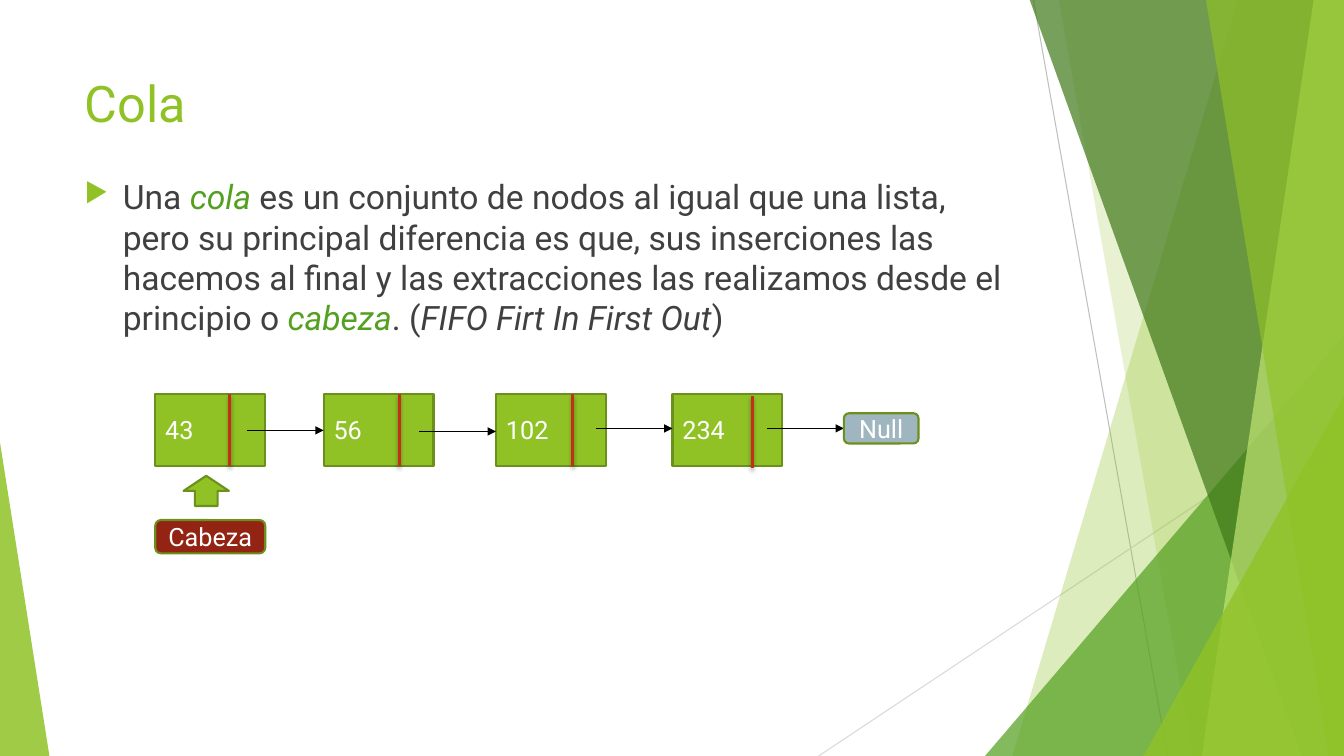
from lxml import etree
from pptx import Presentation
from pptx.dml.color import RGBColor
from pptx.enum.shapes import MSO_CONNECTOR, MSO_SHAPE
from pptx.enum.text import MSO_ANCHOR, PP_ALIGN
from pptx.oxml import parse_xml
from pptx.oxml.ns import qn
from pptx.util import Inches, Pt

COLORS = {
    "lime": "90C226", "green": "54A021", "forest": "3F7819", "pale": "C0E474",
    "outline": "6B901C", "red": "C42F1A", "maroon": "932313", "blue_gray": "9FB6C0",
    "text": "404040", "white": "FFFFFF", "black": "000000",
    "gray": "BFBFBF", "light_gray": "D9D9D9",
}
RGB = {name: RGBColor.from_string(value) for name, value in COLORS.items()}
FONT = "Roboto"
DRAWING_NS = "http://schemas.openxmlformats.org/drawingml/2006/main"
SHADOW = (
    f'<a:outerShdw xmlns:a="{DRAWING_NS}" blurRad="38100" dist="25400" dir="5400000" '
    'rotWithShape="0"><a:srgbClr val="000000"><a:alpha val="35000"/></a:srgbClr></a:outerShdw>'
)

presentation = Presentation()
presentation.slide_width, presentation.slide_height = Inches(13.33), Inches(7.5)
slide = presentation.slides.add_slide(presentation.slide_layouts[6])
shapes = slide.shapes


def add_line(x1, y1, x2, y2, color, width, arrow=False, shadow=False):
    line = shapes.add_connector(
        MSO_CONNECTOR.STRAIGHT, Inches(x1), Inches(y1), Inches(x2), Inches(y2))
    line.line.color.rgb = RGB[color]
    line.line.width = Pt(width)
    properties = line._element.spPr
    if arrow:
        etree.SubElement(properties.find(qn("a:ln")), qn("a:tailEnd"), type="triangle")
    effects = etree.SubElement(properties, qn("a:effectLst"))
    if shadow:
        effects.append(parse_xml(SHADOW))


def style_shape(shape, color, opacity=None, text="", align=PP_ALIGN.CENTER):
    """Give a translucent background facet or an outlined diagram part its look."""
    shape.shadow.inherit = False
    shape.fill.solid()
    shape.fill.fore_color.rgb = RGB[color]
    if opacity:
        fill_color = shape._element.spPr.find(qn("a:solidFill"))[0]
        etree.SubElement(fill_color, qn("a:alpha"), val=str(opacity * 1000))
        shape.line.fill.background()
    else:
        shape.line.color.rgb = RGB["outline"]
        shape.line.width = Pt(1.5)
    if text:
        frame = shape.text_frame
        frame.vertical_anchor = MSO_ANCHOR.MIDDLE
        paragraph = frame.paragraphs[0]
        paragraph.text = text
        paragraph.alignment = align
        paragraph.font.name, paragraph.font.size = FONT, Pt(18)
        paragraph.font.color.rgb = RGB["white"]


# Background lines and facets, back to front
add_line(10.25, 0, 11.58, 7.5, "gray", 0.75)
add_line(13.33, 4.03, 8.12, 7.5, "light_gray", 0.75)

# Bands: top left x, bottom left x; triangles: left, top, width, height, apex
facets = [
    ("band", (12.28, 10.04), "lime", 30),
    ("band", (10.5, 11.83), "lime", 20),
    ("triangle", (9.77, 3.33, 3.56, 4.17, 1), "green", 72),
    ("band", (10.21, 12.91), "forest", 70),
    ("band", (13.03, 11.92), "pale", 70),
    ("band", (11.96, 13.18), "lime", 65),
    ("triangle", (11.34, 3.93, 1.99, 3.57, 1), "lime", 80),
    ("triangle", (0, 4.39, 0.49, 3.11, 0), "lime", 85),
]
for kind, geometry, color, opacity in facets:
    if kind == "band":
        top_x, bottom_x = geometry
        corners = [(top_x, -0.01), (13.33, -0.01), (13.33, 7.5), (bottom_x, 7.5)]
        points = [(Inches(x), Inches(y)) for x, y in corners]
        builder = shapes.build_freeform(*points[0])
        builder.add_line_segments(points[1:], close=True)
        facet = builder.convert_to_shape()
    else:
        *box, apex = geometry
        facet = shapes.add_shape(MSO_SHAPE.ISOSCELES_TRIANGLE, *map(Inches, box))
        facet.adjustments[0] = apex
    style_shape(facet, color, opacity)

# Title
title = shapes.add_textbox(Inches(0.74), Inches(0.67), Inches(9.4), Inches(1.44))
title.text_frame.word_wrap = True
paragraph = title.text_frame.paragraphs[0]
paragraph.text = "Cola"
paragraph.font.name, paragraph.font.size = FONT, Pt(36)
paragraph.font.color.rgb = RGB["lime"]

# Definition with a triangular bullet
body = shapes.add_textbox(Inches(0.74), Inches(1.7), Inches(9.4), Inches(4.91))
body.text_frame.word_wrap = True
paragraph = body.text_frame.paragraphs[0]
paragraph.space_before = Pt(10)
paragraph.font.name, paragraph.font.size = FONT, Pt(24)
properties = paragraph._p.get_or_add_pPr()
properties.set("marL", str(Inches(0.38)))
properties.set("indent", str(Inches(-0.38)))
bullet = [
    f'<a:buClr xmlns:a="{DRAWING_NS}"><a:srgbClr val="{COLORS["lime"]}"/></a:buClr>',
    f'<a:buSzPct xmlns:a="{DRAWING_NS}" val="80000"/>',
    f'<a:buChar xmlns:a="{DRAWING_NS}" char="▶"/>',
]
for position, xml in enumerate(bullet, start=1):
    properties.insert(position, parse_xml(xml))
definition = [
    ("Una ", "text", False),
    ("cola", "green", True),
    (" es un conjunto de nodos al igual que una lista, pero su principal diferencia es que, "
     "sus inserciones las hacemos al final y las extracciones las realizamos desde el "
     "principio o ", "text", False),
    ("cabeza", "green", True),
    (". (", "text", False),
    ("FIFO Firt In First Out", "text", True),
    (")", "text", False),
]
for text, color, italic in definition:
    run = paragraph.add_run()
    run.text = text
    run.font.color.rgb = RGB[color]
    run.font.italic = italic

# Queue nodes: value, left, divider x, divider top
nodes = [("43", 1.54, 2.28, 3.91), ("56", 3.21, 3.96, 3.91),
         ("102", 4.92, 5.68, 3.91), ("234", 6.67, 7.46, 3.93)]
for value, left, divider_x, divider_top in nodes:
    node = shapes.add_shape(
        MSO_SHAPE.RECTANGLE, Inches(left), Inches(3.91), Inches(1.09), Inches(0.71))
    style_shape(node, "lime", text=value, align=PP_ALIGN.LEFT)
    add_line(divider_x, divider_top, divider_x, divider_top + 0.71, "red", 2, shadow=True)

# Links to the next node
for start_x, y in [(2.45, 4.27), (4.16, 4.28), (5.91, 4.25), (7.61, 4.25)]:
    add_line(start_x, y, start_x + 0.76, y, "black", 1, arrow=True)

# Head and end labels
for text, box, color in [("Cabeza", (1.54, 5.16, 1.09, 0.33), "maroon"),
                         ("Null", (8.37, 4.1, 0.74, 0.3), "blue_gray")]:
    label = shapes.add_shape(MSO_SHAPE.ROUNDED_RECTANGLE, *map(Inches, box))
    style_shape(label, color, text=text)

# Pointer from the head label up to the first node
pointer = shapes.add_shape(
    MSO_SHAPE.DOWN_ARROW, Inches(1.82), Inches(4.72), Inches(0.45), Inches(0.3))
pointer.rotation = 180
style_shape(pointer, "lime")

presentation.save("out.pptx")
